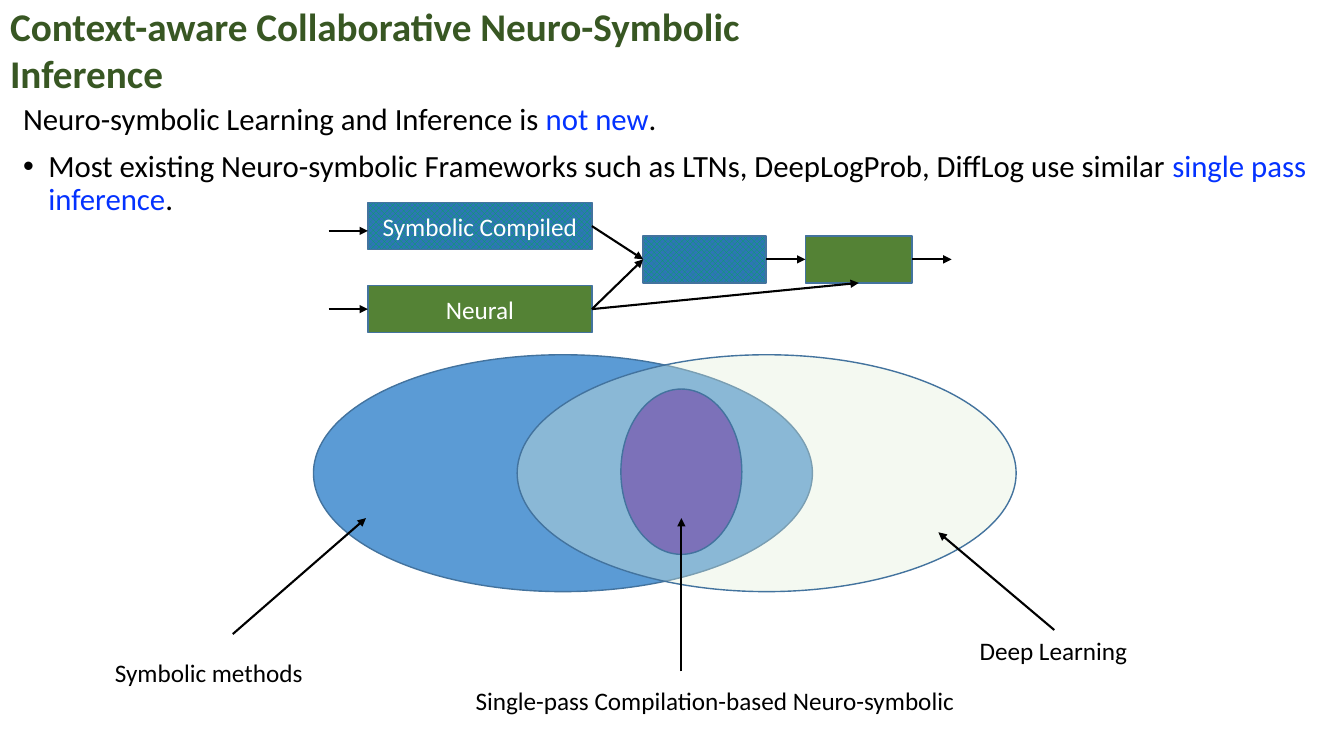
from dataclasses import dataclass
from typing import Optional

from lxml.etree import SubElement
from pptx import Presentation
from pptx.dml.color import RGBColor
from pptx.enum.dml import MSO_PATTERN
from pptx.enum.shapes import MSO_CONNECTOR, MSO_SHAPE
from pptx.enum.text import MSO_ANCHOR, MSO_AUTO_SIZE, PP_ALIGN
from pptx.oxml.ns import qn
from pptx.util import Pt

BLACK = RGBColor(0x00, 0x00, 0x00)
WHITE = RGBColor(0xFF, 0xFF, 0xFF)
TITLE_GREEN = RGBColor(0x38, 0x57, 0x23)
HIGHLIGHT = RGBColor(0x04, 0x32, 0xFF)
OUTLINE = RGBColor(0x43, 0x73, 0x9E)
NEURAL_GREEN = RGBColor(0x54, 0x82, 0x35)
PATTERN_GREEN = RGBColor(0x00, 0xB0, 0x50)
PATTERN_BLUE = RGBColor(0x2E, 0x75, 0xB6)
SYMBOLIC_BLUE = RGBColor(0x5B, 0x9B, 0xD5)
PALE_GREEN = RGBColor(0xE2, 0xF0, 0xD9)
PURPLE = RGBColor(0x70, 0x30, 0xA0)

FONT = "Calibri"
BOX_HEIGHT = 33.6
TOP, LEFT, BOTTOM, RIGHT = range(4)


@dataclass
class Block:
    name: str
    left: float
    top: float
    width: float
    symbolic: bool
    label: str = ""


@dataclass
class Oval:
    left: float
    top: float
    width: float
    height: float
    color: RGBColor
    opacity: int = 100


@dataclass
class Label:
    text: str
    left: float
    top: float
    width: float


@dataclass
class Arrow:
    """Each end is a point, or a block name with a connection site."""
    start: tuple
    end: tuple


BLOCKS = [
    Block("compiled", 262.8, 144.7, 160, True, "Symbolic Compiled"),
    Block("neural", 262.8, 204, 160, False, "Neural"),
    Block("joint", 459.4, 168.5, 87.8, True),
    Block("output", 575.3, 168.5, 76.3, False),
]
FLOW_ARROWS = [
    Arrow((234.7, 164.9), (262.8, 164.9)),
    Arrow((234.7, 220.8), ("neural", LEFT)),
    Arrow(("compiled", RIGHT), ("joint", LEFT)),
    Arrow(("neural", RIGHT), ("joint", LEFT)),
    Arrow(("neural", RIGHT), ("output", BOTTOM)),
    Arrow(("joint", RIGHT), ("output", LEFT)),
    Arrow(("output", RIGHT), (679.7, 185.3)),
]
OVALS = [
    Oval(223.9, 253.4, 356.4, 169.2, SYMBOLIC_BLUE),
    Oval(369.4, 253.4, 356.4, 169.2, PALE_GREEN, 35),
    Oval(443.5, 277.9, 86.4, 118.1, PURPLE, 52),
]
LABELS = [
    Label("Symbolic methods", 74.9, 465.8, 150.5),
    Label("Deep Learning", 692.6, 450, 121.7),
    Label("Single-pass Compilation-based Neuro-symbolic", 332.6, 486, 360),
]
LABEL_ARROWS = [
    Arrow((166.3, 452.9), (261.4, 370.1)),
    Arrow((753.1, 450), (670.3, 380.2)),
    Arrow((486.7, 479.5), (486.7, 370.1)),
]


def write_text(para, text: str, *, size: float, color: RGBColor = BLACK,
               bold: bool = False, align: PP_ALIGN = PP_ALIGN.LEFT) -> None:
    para.alignment = align
    span = para.add_run()
    span.text = text
    span.font.name = FONT
    span.font.size = Pt(size)
    span.font.bold = bold
    span.font.color.rgb = color


def style_shape(shape, color: Optional[RGBColor], opacity: int = 100) -> None:
    """Fill with a plain colour, or with the symbolic pattern if None."""
    shape.shadow.inherit = False
    shape.line.color.rgb = OUTLINE
    shape.line.width = Pt(1)
    if color is None:
        shape.fill.patterned()
        shape.fill.pattern = MSO_PATTERN.SOLID_DIAMOND
        shape.fill.fore_color.rgb = PATTERN_GREEN
        shape.fill.back_color.rgb = PATTERN_BLUE
        return
    shape.fill.solid()
    shape.fill.fore_color.rgb = color
    if opacity < 100:
        solid = shape._element.spPr.find(qn("a:solidFill"))
        SubElement(solid[0], qn("a:alpha"), val=str(opacity * 1000))


def add_block(slide, block: Block):
    shape = slide.shapes.add_shape(MSO_SHAPE.RECTANGLE, Pt(block.left), Pt(block.top),
                                   Pt(block.width), Pt(BOX_HEIGHT))
    style_shape(shape, None if block.symbolic else NEURAL_GREEN)
    if block.label:
        shape.text_frame.vertical_anchor = MSO_ANCHOR.MIDDLE
        write_text(shape.text_frame.paragraphs[0], block.label, size=18,
                   color=WHITE, align=PP_ALIGN.CENTER)
    return shape


def add_oval(slide, oval: Oval) -> None:
    shape = slide.shapes.add_shape(MSO_SHAPE.OVAL, Pt(oval.left), Pt(oval.top),
                                   Pt(oval.width), Pt(oval.height))
    style_shape(shape, oval.color, oval.opacity)


def add_label(slide, label: Label) -> None:
    box = slide.shapes.add_textbox(Pt(label.left), Pt(label.top), Pt(label.width), Pt(29))
    box.text_frame.word_wrap = False
    box.text_frame.auto_size = MSO_AUTO_SIZE.SHAPE_TO_FIT_TEXT
    write_text(box.text_frame.paragraphs[0], label.text, size=18)


def add_arrow(slide, arrow: Arrow, shapes: dict) -> None:
    joined_start = arrow.start[0] in shapes
    joined_end = arrow.end[0] in shapes
    start = (0, 0) if joined_start else arrow.start
    end = (0, 0) if joined_end else arrow.end
    line = slide.shapes.add_connector(MSO_CONNECTOR.STRAIGHT, *map(Pt, start + end))
    if joined_start:
        line.begin_connect(shapes[arrow.start[0]], arrow.start[1])
    if joined_end:
        line.end_connect(shapes[arrow.end[0]], arrow.end[1])
    line.line.color.rgb = BLACK
    line.line.width = Pt(1.5)
    SubElement(line.line._get_or_add_ln(), qn("a:tailEnd"), type="triangle")
    SubElement(line._element.spPr, qn("a:effectLst"))


def add_title(slide) -> None:
    title = slide.shapes.title
    title.left, title.top, title.width, title.height = Pt(0), Pt(-2), Pt(563), Pt(75)
    frame = title.text_frame
    frame.word_wrap = True
    frame.auto_size = MSO_AUTO_SIZE.SHAPE_TO_FIT_TEXT
    frame.vertical_anchor = MSO_ANCHOR.TOP
    write_text(frame.paragraphs[0], "Context-aware Collaborative Neuro-Symbolic Inference",
               size=28, color=TITLE_GREEN, bold=True)


def add_body(slide) -> None:
    box = slide.shapes.add_textbox(Pt(9.4), Pt(70.6), Pt(941.8), Pt(208))
    frame = box.text_frame
    frame.word_wrap = True
    intro, point = frame.paragraphs[0], frame.add_paragraph()
    properties = point._p.get_or_add_pPr()
    properties.set("marL", str(Pt(18)))
    properties.set("indent", str(Pt(-18)))
    SubElement(properties, qn("a:buFont"), typeface="Arial")
    SubElement(properties, qn("a:buChar"), char="•")
    point.space_before = Pt(10)
    sentences = [
        (intro, "Neuro-symbolic Learning and Inference is ", "not new"),
        (point, "Most existing Neuro-symbolic Frameworks such as LTNs, DeepLogProb, "
                "DiffLog use similar ", "single pass inference"),
    ]
    for para, text, highlight in sentences:
        para.line_spacing = 0.9
        write_text(para, text, size=22)
        write_text(para, highlight, size=22, color=HIGHLIGHT)
        write_text(para, ".", size=22)


def main() -> None:
    deck = Presentation()
    deck.slide_width, deck.slide_height = Pt(960), Pt(540)
    slide = deck.slides.add_slide(deck.slide_layouts[5])
    add_title(slide)
    add_body(slide)

    # Inference pipeline
    shapes = {block.name: add_block(slide, block) for block in BLOCKS}
    for arrow in FLOW_ARROWS:
        add_arrow(slide, arrow, shapes)

    # Overlapping fields with their labels
    for oval in OVALS:
        add_oval(slide, oval)
    for label in LABELS:
        add_label(slide, label)
    for arrow in LABEL_ARROWS:
        add_arrow(slide, arrow, shapes)
    deck.save("out.pptx")


if __name__ == "__main__":
    main()
